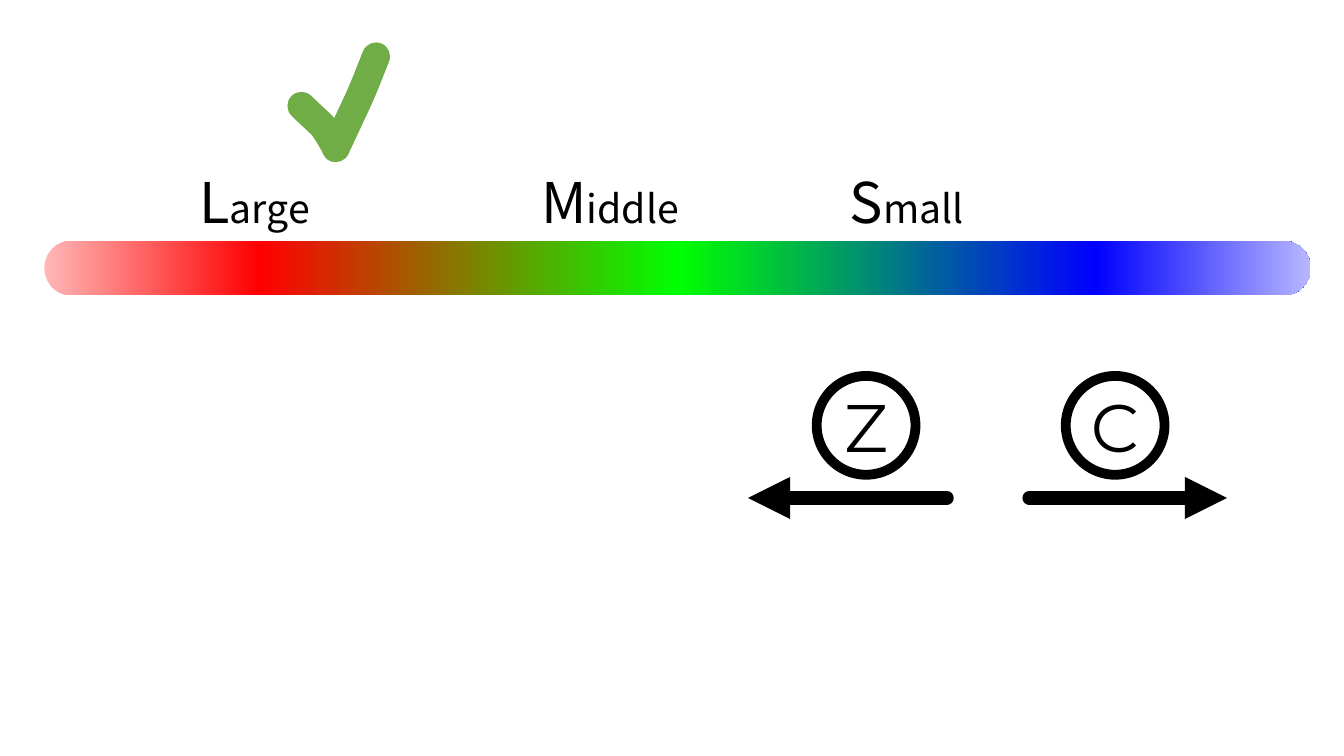
from dataclasses import dataclass

from lxml import etree
from pptx import Presentation
from pptx.dml.color import RGBColor
from pptx.enum import shapes, text
from pptx.oxml import ns
from pptx.util import Inches, Pt


@dataclass(frozen=True)
class Theme:
    ink: str = "000000"
    paper: str = "FFFFFF"
    tick: str = "70AD47"
    label: str = "Noto Sans CJK KR"
    key: str = "Montserrat"
    big: int = 40
    small: int = 28
    letter: int = 48


@dataclass(frozen=True)
class Key:
    letter: str
    left: float
    tail: float
    tip: float


THEME = Theme()
STOPS = [(0, "FFB7B7"), (17, "FF0000"), (50, "00FF00"), (83, "0000FF"), (100, "B7B7FF")]
LABELS = ["Large", "Middle", "Small"]
TABS = [3.39, 6.45]
STROKES = [
    [(2.99, 1.05), (3.06, 1.12), (3.14, 1.19), (3.2, 1.25),
     (3.25, 1.32), (3.29, 1.39), (3.33, 1.46)],
    [(3.33, 1.47), (3.4, 1.32), (3.47, 1.17), (3.54, 1.02),
     (3.61, 0.87), (3.67, 0.71), (3.73, 0.56)],
]
KEYS = [Key("C", 10.57, 10.21, 12.17), Key("Z", 8.1, 9.39, 7.42)]


def rgb(code: str) -> RGBColor:
    return RGBColor.from_string(code)


def add(parent, tag: str, **attrs: str):
    return etree.SubElement(parent, ns.qn(tag), attrs)


def pen(shape, color: str, width: float, cap: bool = False) -> None:
    """Set the outline, with round ends if cap is true."""
    shape.line.color.rgb = rgb(color)
    shape.line.width = Pt(width)
    if cap:
        line = shape.line._get_or_add_ln()
        line.set("cap", "rnd")
        add(line, "a:round")


def write(para, words: str, size: float, font: str) -> None:
    run = para.add_run()
    run.text = words
    run.font.size = Pt(size)
    run.font.name = font
    run.font.color.rgb = rgb(THEME.ink)
    add(run._r.get_or_add_rPr(), "a:ea", typeface=font)


def draw_scale(group) -> None:
    # Gradient bar
    bar = group.shapes.add_shape(shapes.MSO_SHAPE.ROUNDED_RECTANGLE,
                                 Inches(0.44), Inches(2.39), Inches(12.56), Inches(0.54))
    bar.adjustments[0] = 0.5
    bar.shadow.inherit = False
    bar.line.fill.background()
    bar.fill.gradient()
    bar.fill.gradient_angle = 0
    stops = bar._element.spPr.find(".//" + ns.qn("a:gsLst"))
    for old in list(stops):
        stops.remove(old)
    for place, color in STOPS:
        add(add(stops, "a:gs", pos=str(place * 1000)), "a:srgbClr", val=color)

    # Size names, set apart by tab stops
    box = group.shapes.add_textbox(Inches(1.88), Inches(1.61), Inches(9.67), Inches(0.77))
    box.text_frame.word_wrap = True
    para = box.text_frame.paragraphs[0]
    tabs = add(para._p.get_or_add_pPr(), "a:tabLst")
    for place in TABS:
        add(tabs, "a:tab", pos=str(Inches(place)), algn="l")
    for i, name in enumerate(LABELS):
        if i:
            write(para, "\t", THEME.small, THEME.label)
        write(para, name[0], THEME.big, THEME.label)
        write(para, name[1:], THEME.small, THEME.label)


def curve(points: list, steps: int = 12) -> list:
    """Sample a chain of cubic curves."""
    path = [points[0]]
    for i in range(0, len(points) - 1, 3):
        a, b, c, d = points[i:i + 4]
        for n in range(1, steps + 1):
            t = n / steps
            s = 1 - t
            path.append(tuple(s**3 * a[k] + 3 * s * s * t * b[k]
                              + 3 * s * t * t * c[k] + t**3 * d[k] for k in (0, 1)))
    return [(Inches(x), Inches(y)) for x, y in path]


def draw_tick(group) -> None:
    for stroke in STROKES:
        first, *rest = curve(stroke)
        build = group.shapes.build_freeform(*first)
        build.add_line_segments(rest, close=False)
        mark = build.convert_to_shape()
        mark.shadow.inherit = False
        mark.fill.background()
        pen(mark, THEME.tick, 20, cap=True)


def draw_key(group, key: Key) -> None:
    # Arrow
    level = Inches(4.94)
    arrow = group.shapes.add_connector(shapes.MSO_CONNECTOR.STRAIGHT,
                                       Inches(key.tail), level, Inches(key.tip), level)
    pen(arrow, THEME.ink, 10, cap=True)
    add(arrow.line._get_or_add_ln(), "a:tailEnd", type="triangle")
    add(arrow._element.spPr, "a:effectLst")

    # Circled letter
    ring = group.shapes.add_shape(shapes.MSO_SHAPE.OVAL, Inches(key.left), Inches(3.73),
                                  Inches(0.98), Inches(0.98))
    ring.shadow.inherit = False
    ring.fill.solid()
    ring.fill.fore_color.rgb = rgb(THEME.paper)
    pen(ring, THEME.ink, 7)
    frame = ring.text_frame
    frame.word_wrap = False
    frame.vertical_anchor = text.MSO_ANCHOR.MIDDLE
    para = frame.paragraphs[0]
    para.alignment = text.PP_ALIGN.CENTER
    write(para, key.letter, THEME.letter, THEME.key)


def main() -> None:
    deck = Presentation()
    deck.slide_width, deck.slide_height = Inches(13.33), Inches(7.5)
    slide = deck.slides.add_slide(deck.slide_layouts[6])
    draw_scale(slide.shapes.add_group_shape())
    draw_tick(slide.shapes.add_group_shape())
    for key in KEYS:
        draw_key(slide.shapes.add_group_shape(), key)
    deck.save("out.pptx")


if __name__ == "__main__":
    main()
